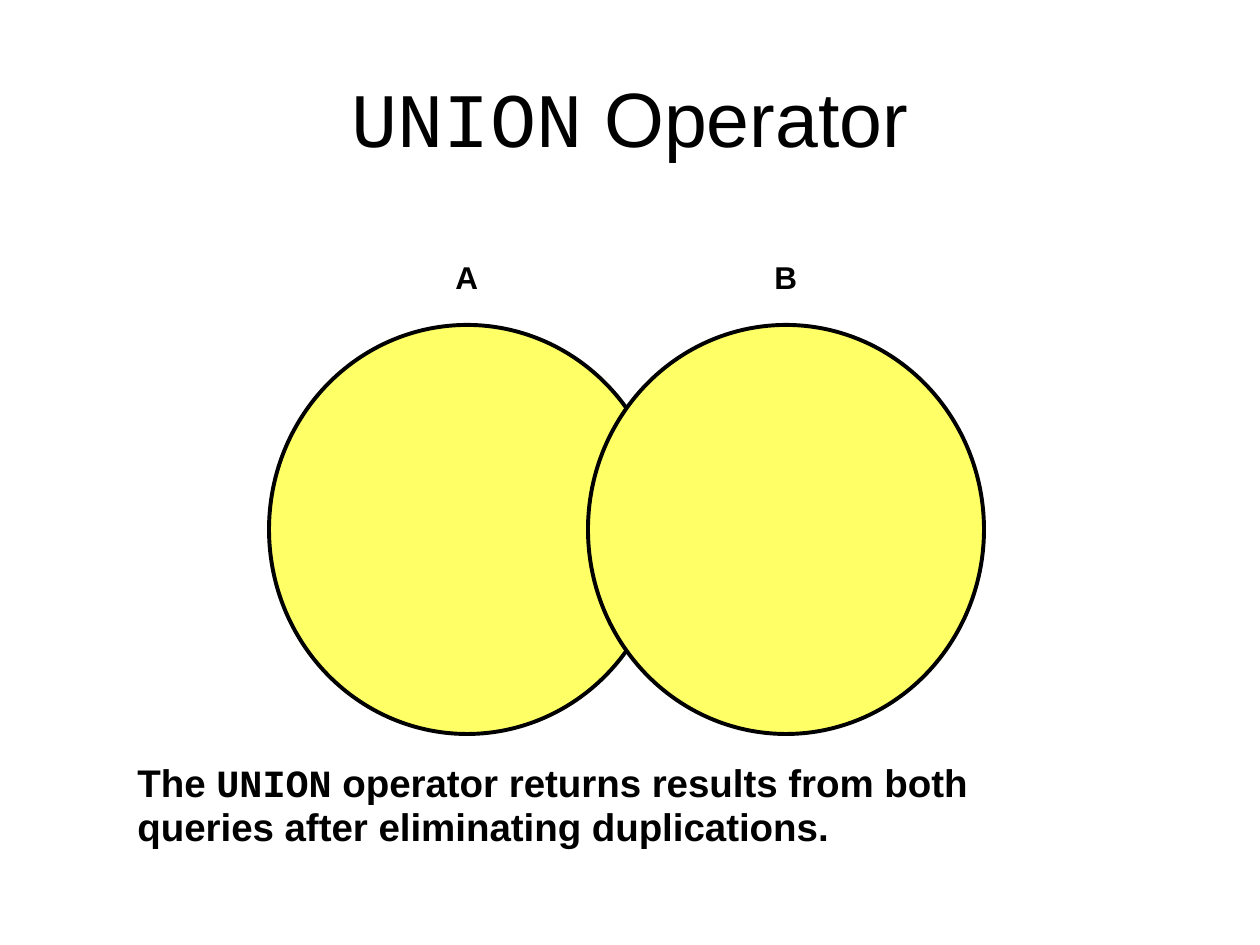
from pptx import Presentation
from pptx.dml.color import RGBColor
from pptx.enum.shapes import MSO_SHAPE
from pptx.enum.text import MSO_ANCHOR, PP_ALIGN
from pptx.util import Emu, Pt

# Content: runs are (text, font name)
SANS, MONO = "Arial", "Courier New"
TITLE = [("UNION", MONO), (" Operator", SANS)]
SETS = ["A", "B"]
CAPTION = [
    ("The ", SANS),
    ("UNION", MONO),
    (" operator returns results from both queries after eliminating duplications.", SANS),
]
COLORS = {"ink": "000000", "circle": "FFFF66"}

# Layout in px, 126 to the inch
PX = 914400 // 126
SLIDE = (1260, 945)
TITLE_BOX = (63, 38, 1134, 158)
CAPTION_BOX = (125, 756, 1002, 101)
CIRCLE_LEFT, CIRCLE_TOP, CIRCLE_WIDTH, CIRCLE_HEIGHT = 269, 325, 396, 409
CIRCLE_STEP = 319
LABEL_TOP, LABEL_WIDTH, LABEL_HEIGHT = 252, 48, 50


def scaled(*lengths):
    return [Emu(length * PX) for length in lengths]


def color(name):
    return RGBColor.from_string(COLORS[name])


def write_runs(para, runs, size, bold=False):
    for text, font_name in runs:
        span = para.add_run()
        span.text = text
        span.font.name = font_name
        span.font.size = Pt(size)
        span.font.bold = bold
        span.font.color.rgb = color("ink")


def add_text(page, place, runs, size, wrap):
    box = page.shapes.add_textbox(*scaled(*place))
    box.text_frame.word_wrap = wrap
    para = box.text_frame.paragraphs[0]
    write_runs(para, runs, size, bold=True)
    return para


def add_circle(page, place):
    circle = page.shapes.add_shape(MSO_SHAPE.OVAL, *scaled(*place))
    circle.shadow.inherit = False
    circle.fill.solid()
    circle.fill.fore_color.rgb = color("circle")
    circle.line.color.rgb = color("ink")
    circle.line.width = Pt(2.25)


def main():
    deck = Presentation()
    deck.slide_width, deck.slide_height = scaled(*SLIDE)
    page = deck.slides.add_slide(deck.slide_layouts[5])

    # Title
    title = page.shapes.title
    title.left, title.top, title.width, title.height = scaled(*TITLE_BOX)
    title.text_frame.vertical_anchor = MSO_ANCHOR.MIDDLE
    heading = title.text_frame.paragraphs[0]
    heading.alignment = PP_ALIGN.CENTER
    write_runs(heading, TITLE, 44)

    # Overlapping circles, each with its label centred above
    for index, name in enumerate(SETS):
        left = CIRCLE_LEFT + index * CIRCLE_STEP
        add_circle(page, (left, CIRCLE_TOP, CIRCLE_WIDTH, CIRCLE_HEIGHT))
        label_left = left + (CIRCLE_WIDTH - LABEL_WIDTH) // 2
        label_place = (label_left, LABEL_TOP, LABEL_WIDTH, LABEL_HEIGHT)
        add_text(page, label_place, [(name, SANS)], 18, wrap=False)

    # Caption
    caption = add_text(page, CAPTION_BOX, CAPTION, 22, wrap=True)
    caption.line_spacing = 0.95

    deck.save("out.pptx")


if __name__ == "__main__":
    main()
